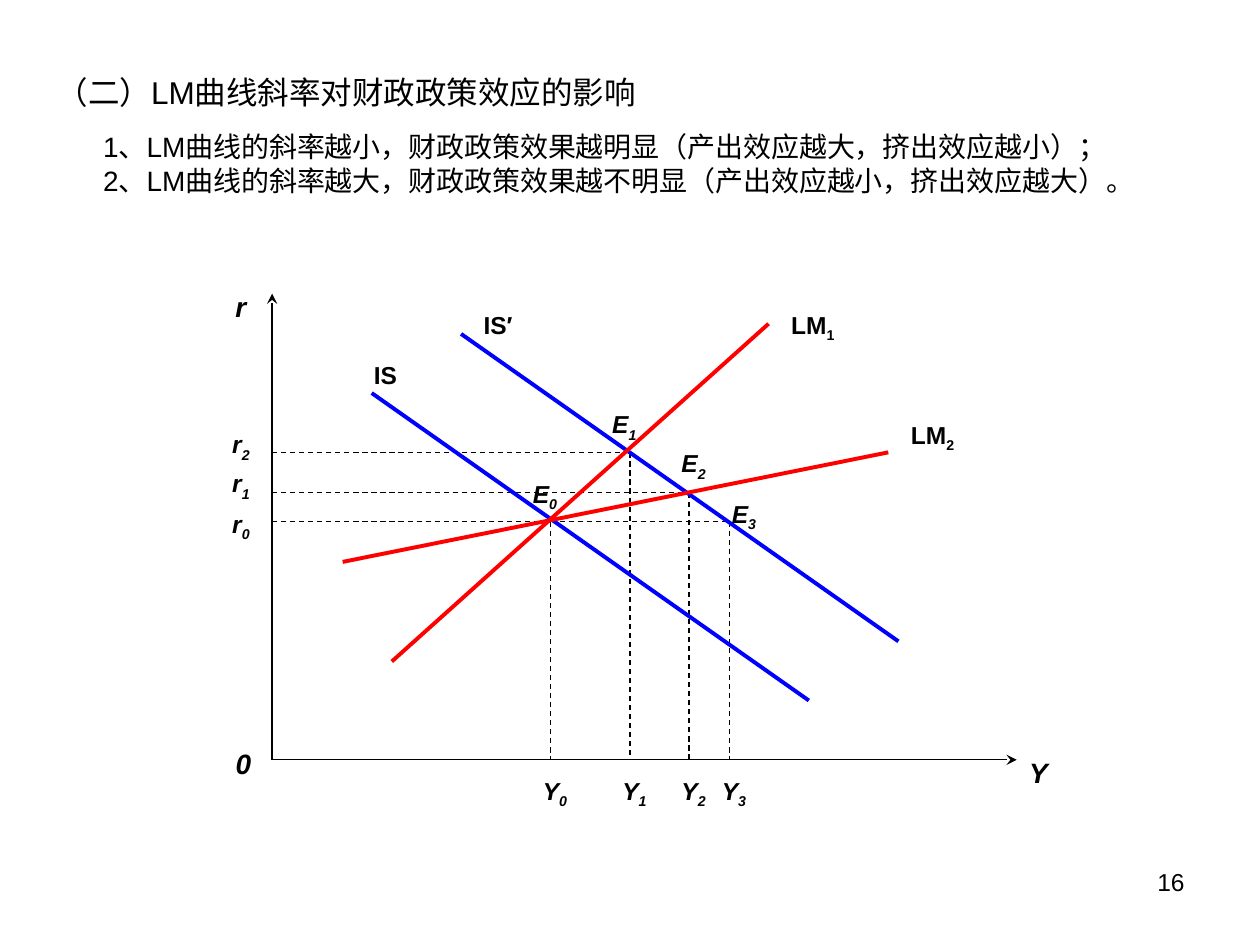
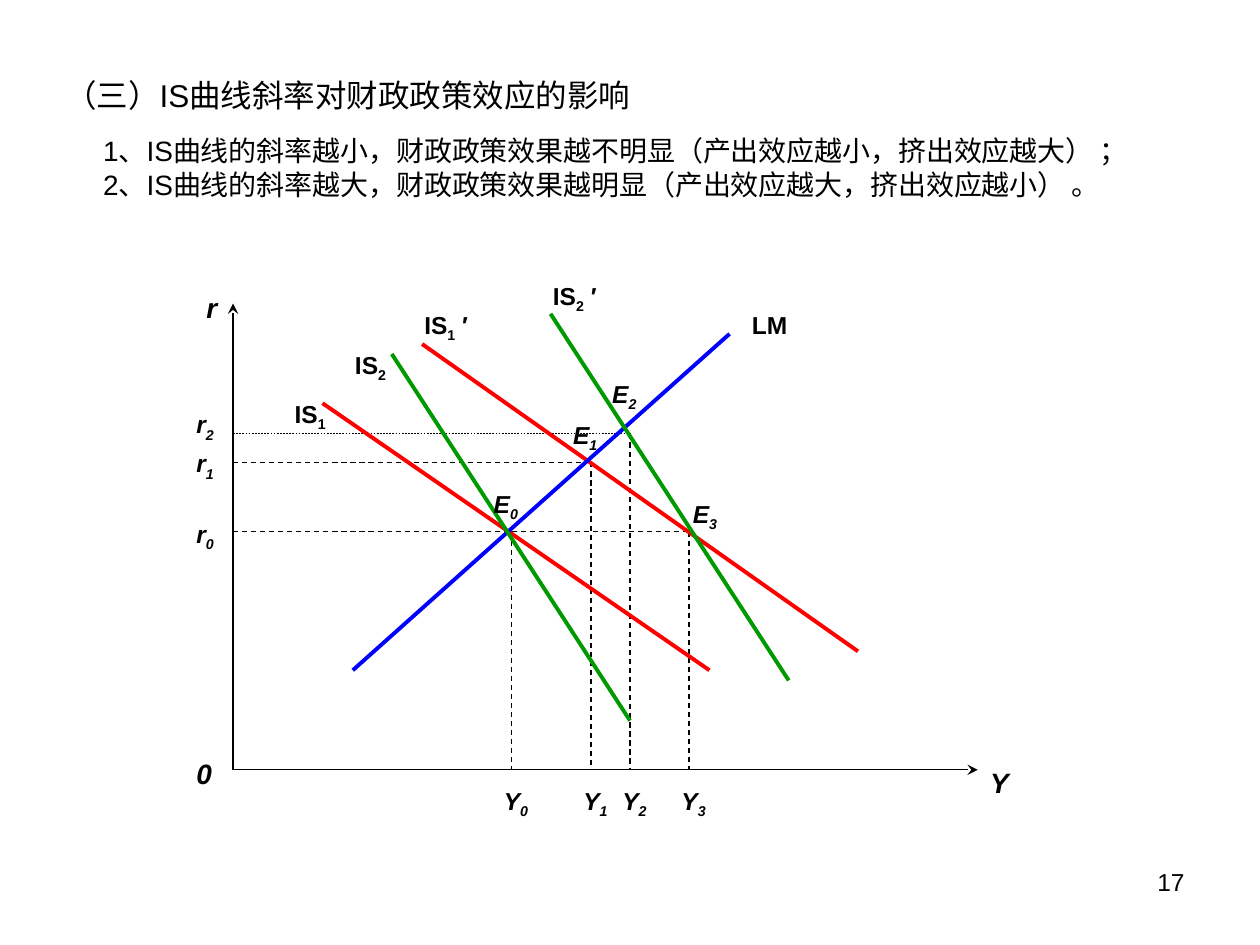
from pptx import Presentation
from pptx.dml.color import RGBColor
from pptx.enum.dml import MSO_LINE
from pptx.enum.shapes import MSO_CONNECTOR
from pptx.enum.text import MSO_ANCHOR, PP_ALIGN
from pptx.oxml.ns import qn
from pptx.util import Pt
from lxml import etree

STRAIGHT = MSO_CONNECTOR.STRAIGHT
DASH = MSO_LINE.DASH
MIDDLE = MSO_ANCHOR.MIDDLE
RIGHT = PP_ALIGN.RIGHT

BLACK = RGBColor(0x00, 0x00, 0x00)
BLUE = RGBColor(0x00, 0x00, 0xFF)
RED = RGBColor(0xFF, 0x00, 0x00)
GREEN = RGBColor(0x00, 0x99, 0x00)

# Text formats
HEADING = {"size": Pt(18)}
RULE = {"size": Pt(16)}
NUMBER = {"size": Pt(14)}
AXIS_NAME = {"size": Pt(16), "bold": True, "italic": True}
CURVE_NAME = {"size": Pt(14), "bold": True}
POINT_NAME = {"size": Pt(14), "bold": True, "italic": True}

# Line widths and shared diagram measures, in points
THIN, CURVE, HAIR = 0.74, 2.24, 0.26
AXIS_UP, AXIS_RIGHT = 266.4, 425.5
NAME_WIDTH, NAME_HEIGHT = 34, 26.6


def add_text(slide, left, top, width, height, paragraphs):
    """Each paragraph is (runs, format); each run is (text, is_subscript)."""
    box = slide.shapes.add_textbox(Pt(left), Pt(top), Pt(width), Pt(height))
    frame = box.text_frame
    frame.word_wrap = True
    for index, (runs, style) in enumerate(paragraphs):
        paragraph = frame.paragraphs[0] if index == 0 else frame.add_paragraph()
        for text, is_subscript in runs:
            run = paragraph.add_run()
            run.text = text
            run.font.name = "Arial"
            run.font.color.rgb = BLACK
            for key, value in style.items():
                setattr(run.font, key, value)
            if is_subscript:
                run.font._element.set("baseline", "-25000")
    return frame


def add_line(slide, start, end, color=BLACK, width=THIN, dash=None, arrow=False):
    line = slide.shapes.add_connector(
        STRAIGHT, Pt(start[0]), Pt(start[1]), Pt(end[0]), Pt(end[1]))
    line.line.color.rgb = color
    line.line.width = Pt(width)
    if dash:
        line.line.dash_style = dash
    if arrow:
        etree.SubElement(line.line._get_or_add_ln(), qn("a:tailEnd"), type="stealth")
    etree.SubElement(line._element.spPr, qn("a:effectLst"))


# Curves: name runs, name position, start, end, colour
# Points: x, y, position of E, number of r (None: on the r0 level),
#         top of the r name, width of the horizontal guide
DIAGRAMS = [
    {
        "number": "16",
        "heading": "（二）LM曲线斜率对财政政策效应的影响",
        "heading_indent": 0,
        "heading_size": (663, 90.7),
        "rules": ["1、LM曲线的斜率越小，财政政策效果越明显（产出效应越大，挤出效应越小）；",
                  "2、LM曲线的斜率越大，财政政策效果越不明显（产出效应越小，挤出效应越大）。"],
        "origin": (155.5, 434.2),
        "r_axis_name": (127.4, 162),
        "r_left": 125.6,
        "curves": [
            ([("IS", False)], (206.6, 202.3), (212.4, 224.6), (462.2, 400.3), BLUE),
            ([("IS′", False)], (269.3, 173.5), (263.5, 190.8), (513.4, 366.5), BLUE),
            ([("LM", False), ("1", True)], (445, 173.5), (223.9, 378), (439.2, 185), RED),
            ([("LM", False), ("2", True)], (513.4, 236.2), (195.8, 321.1), (507.6, 258.5), RED),
        ],
        "points": [
            (314.6, 298.1, (297.4, 270), 0, 287.3, THIN),
            (360, 258.5, (342.7, 230.4), 2, 241.9, THIN),
            (393.8, 281.5, (382.3, 252.7), 1, 264.2, THIN),
            (416.9, 298.1, (411.1, 281.5), None, None, THIN),
        ],
    },
    {
        "number": "17",
        "heading": "（三）IS曲线斜率对财政政策效应的影响",
        "heading_indent": 5,
        "heading_size": (669, 95),
        "rules": ["1、IS曲线的斜率越小，财政政策效果越不明显（产出效应越小，挤出效应越大） ；",
                  "2、IS曲线的斜率越大，财政政策效果越明显（产出效应越大，挤出效应越小） 。"],
        "origin": (133.2, 439.9),
        "r_axis_name": (110.9, 162.7),
        "r_left": 105.1,
        "curves": [
            ([("IS", False), ("1", True)], (161.3, 224.6), (184.3, 230.4), (405.4, 383), RED),
            ([("IS", False), ("1", True), (" ′", False)],
             (235.4, 173.5), (241.2, 196.6), (490.3, 372.2), RED),
            ([("LM", False)], (422.6, 173.5), (201.6, 383), (416.9, 190.8), BLUE),
            ([("IS", False), ("2", True)], (195.8, 196.6), (223.9, 202.3), (360, 411.8), GREEN),
            ([("IS", False), ("2", True), (" ′", False)],
             (308.9, 157), (314.6, 179.3), (450.7, 388.8), GREEN),
        ],
        "points": [
            (292.3, 303.8, (275, 275.8), 0, 293, THIN),
            (337.7, 264.2, (320.4, 236.2), 1, 252.7, THIN),
            (360, 247.7, (342.7, 213.1), 2, 230.4, HAIR),
            (393.8, 303.8, (388.8, 281.5), None, None, THIN),
        ],
    },
]

deck = Presentation()
deck.slide_width, deck.slide_height = Pt(720), Pt(540)

for diagram in DIAGRAMS:
    slide = deck.slides.add_slide(deck.slide_layouts[6])
    origin_x, origin_y = diagram["origin"]

    # Page number
    number = add_text(slide, 516.2, 491.8, 167.8, 37.4,
                      [([(diagram["number"], False)], NUMBER)])
    number.paragraphs[0].alignment = RIGHT

    # Heading with its two rules
    heading = add_text(slide, 25.2, 31.7, *diagram["heading_size"],
                       [([(diagram["heading"], False)], HEADING)]
                       + [([(rule, False)], RULE) for rule in diagram["rules"]])
    heading.vertical_anchor = MIDDLE
    indents = [diagram["heading_indent"], 26.7, 26.7]
    for paragraph, indent in zip(heading.paragraphs, indents):
        paragraph._p.get_or_add_pPr().set("marL", str(Pt(indent)))
    heading.paragraphs[1].space_before = Pt(11)

    # Axes
    for tip in [(origin_x, origin_y - AXIS_UP), (origin_x + AXIS_RIGHT, origin_y)]:
        add_line(slide, diagram["origin"], tip, arrow=True)
    for name, (left, top) in [("0", (origin_x - 28, origin_y - 11)),
                              ("Y", (origin_x + AXIS_RIGHT, origin_y - 5.8)),
                              ("r", diagram["r_axis_name"])]:
        add_text(slide, left, top, NAME_WIDTH, NAME_HEIGHT, [([(name, False)], AXIS_NAME)])

    # Dashed guides from each equilibrium to the axes
    first_x = diagram["points"][0][0]
    for x, y, _, r_number, _, guide_width in diagram["points"]:
        guide_start = first_x if r_number is None else origin_x
        add_line(slide, (guide_start, y), (x, y), width=guide_width, dash=DASH)
        add_line(slide, (x, y), (x, origin_y), dash=DASH)

    # Curves and their names
    for runs, (left, top), start, end, color in diagram["curves"]:
        add_line(slide, start, end, color, CURVE)
        add_text(slide, left, top, 56, NAME_HEIGHT, [(runs, CURVE_NAME)])

    # Names of the equilibria and of their levels on the axes
    for index, (x, y, e_place, r_number, r_top, _) in enumerate(diagram["points"]):
        names = [("E", index, e_place), ("Y", index, (x - 11.5, origin_y + 5.8))]
        if r_number is not None:
            names.append(("r", r_number, (diagram["r_left"], r_top)))
        for letter, subscript, (left, top) in names:
            add_text(slide, left, top, NAME_WIDTH, NAME_HEIGHT,
                     [([(letter, False), (str(subscript), True)], POINT_NAME)])

deck.save("out.pptx")
